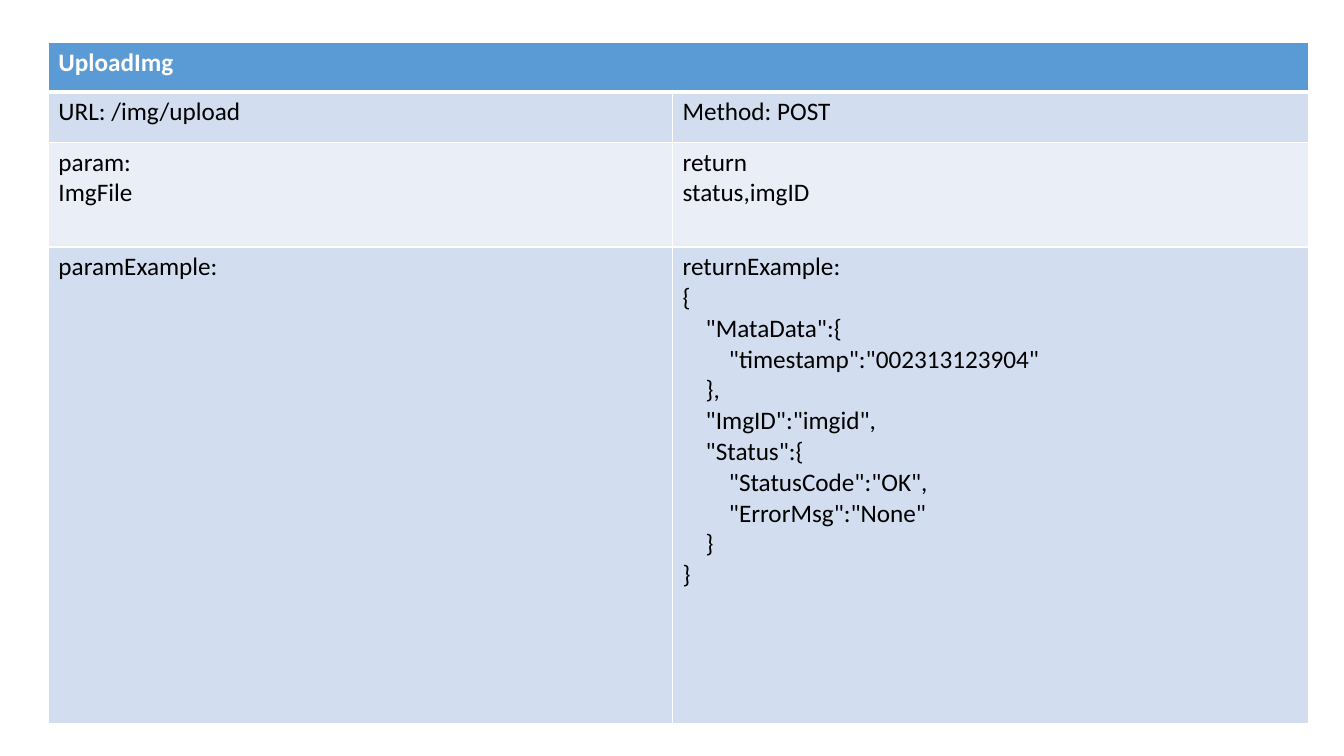
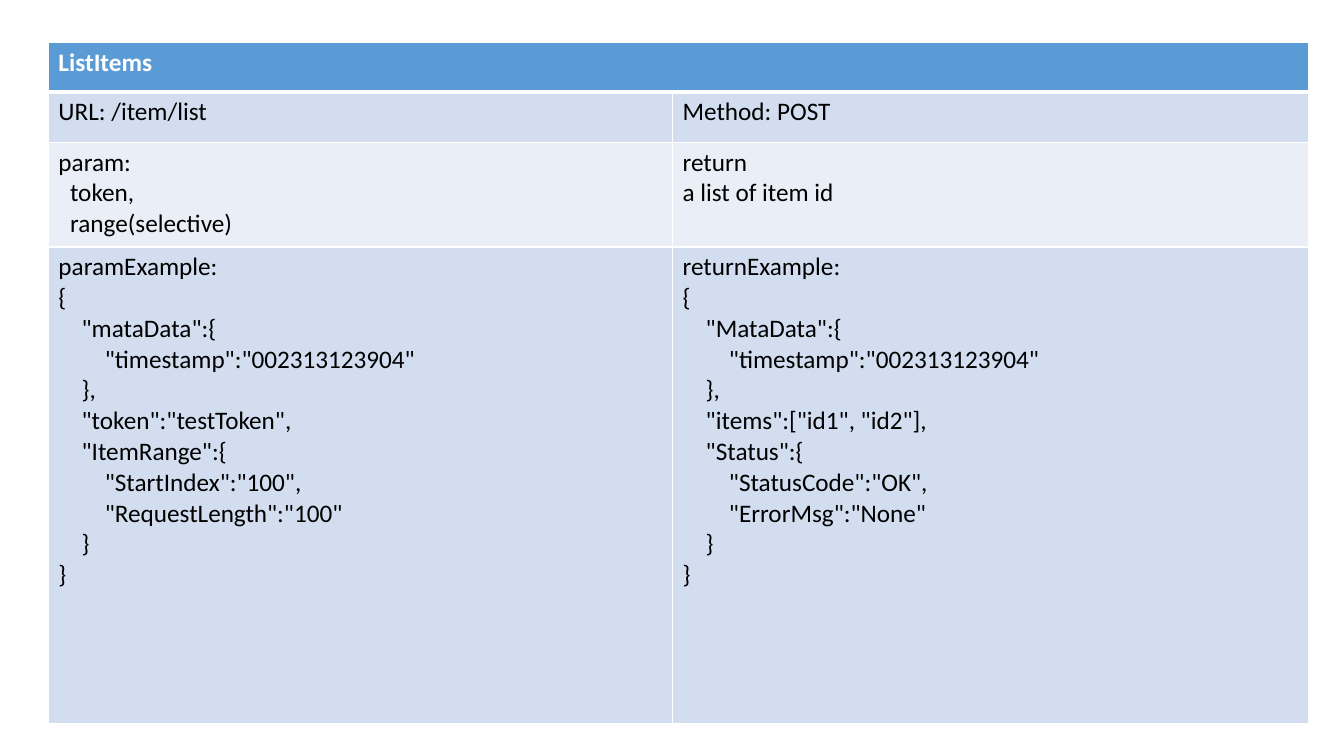
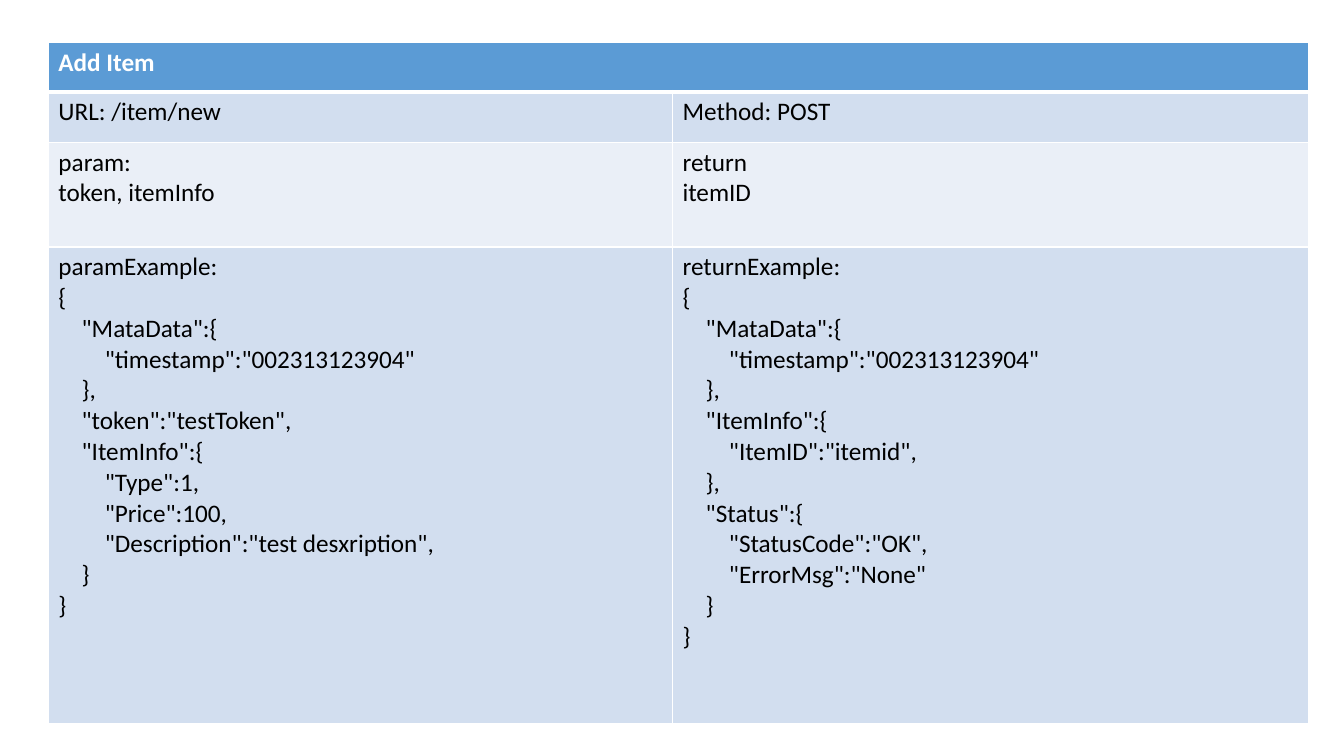
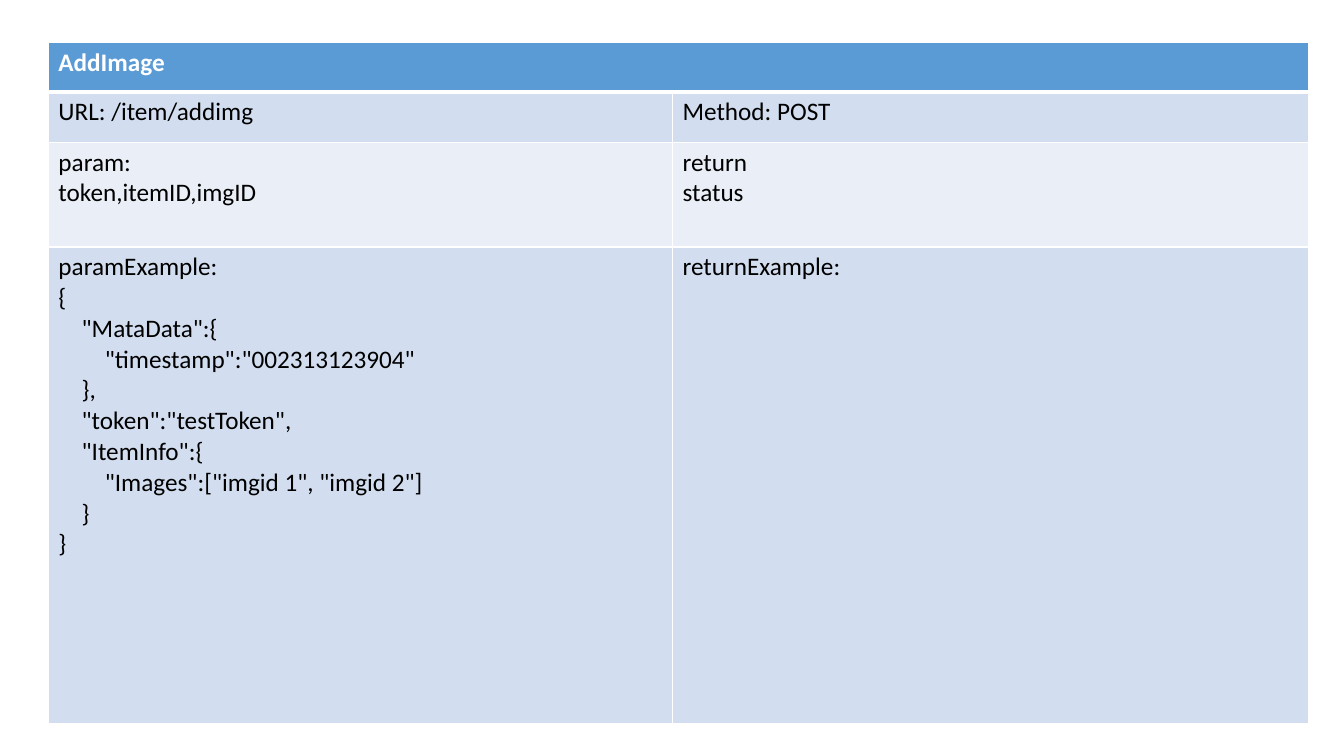
from dataclasses import dataclass

from lxml.etree import SubElement
from pptx import Presentation
from pptx.dml.color import RGBColor
from pptx.oxml.ns import qn
from pptx.presentation import Presentation as PresentationType
from pptx.table import _Cell as Cell
from pptx.util import Inches, Pt

COLORS = {
    "header": "5B9BD5",
    "band_dark": "D2DEEF",
    "band_light": "EAEFF7",
    "border": "FFFFFF",
    "header_text": "FFFFFF",
    "body_text": "000000",
}
FONT_NAME = "Calibri"
FONT_SIZE = 18
BLANK_LAYOUT = 6

TABLE_LEFT, TABLE_TOP = 0.48, 0.42
COLUMN_WIDTHS = (6.19, 6.31)
ROW_HEIGHTS = (0.49, 0.5, 1.04, 4.73)
ROW_FILLS = ("header", "band_dark", "band_light", "band_dark")
INDENT_STEP = 0.23
THIN_BORDER, HEADER_BORDER = 1, 3

TIMESTAMP = ('"timestamp":"002313123904"', "},")
METADATA = ('"MataData":{', *TIMESTAMP)
TOKEN = '"token":"testToken",'
STATUS = ('"Status":{', '"StatusCode":"OK",', '"ErrorMsg":"None"', "}")


@dataclass(frozen=True)
class Line:
    """One paragraph of a cell and its nesting depth."""

    text: str
    depth: float = 0


@dataclass(frozen=True)
class Endpoint:
    """The description of one web service call."""

    name: str
    url: str
    parameters: tuple[str, ...]
    returns: str
    request: tuple[str, ...] = ()
    response: tuple[str, ...] = ()
    parameter_depth: float = 0


ENDPOINTS = (
    Endpoint(
        name="UploadImg",
        url="/img/upload",
        parameters=("ImgFile",),
        returns="status,imgID",
        response=("{", *METADATA, '"ImgID":"imgid",', *STATUS, "}"),
    ),
    Endpoint(
        name="ListItems",
        url="/item/list",
        parameters=("token,", "range(selective)"),
        returns="a list of item id",
        request=(
            "{", '"mataData":{', *TIMESTAMP, TOKEN,
            '"ItemRange":{', '"StartIndex":"100",', '"RequestLength":"100"', "}",
            "}",
        ),
        response=("{", *METADATA, '"items":["id1", "id2"],', *STATUS, "}"),
        parameter_depth=0.5,
    ),
    Endpoint(
        name="Add Item",
        url="/item/new",
        parameters=("token, itemInfo",),
        returns="itemID",
        request=(
            "{", *METADATA, TOKEN,
            '"ItemInfo":{', '"Type":1,', '"Price":100,',
            '"Description":"test desxription",', "}",
            "}",
        ),
        response=(
            "{", *METADATA, '"ItemInfo":{', '"ItemID":"itemid",', "},", *STATUS, "}",
        ),
    ),
    Endpoint(
        name="AddImage",
        url="/item/addimg",
        parameters=("token,itemID,imgID",),
        returns="status",
        request=(
            "{", *METADATA, TOKEN,
            '"ItemInfo":{', '"Images":["imgid 1", "imgid 2"]', "}",
            "}",
        ),
    ),
)


def nest(code: tuple[str, ...]) -> list[Line]:
    """Give each line of JSON the depth that its braces imply."""
    lines: list[Line] = []
    depth = 0
    for text in code:
        depth -= text.startswith("}")
        lines.append(Line(text, depth))
        depth += text.endswith("{")
    return lines


def table_rows(endpoint: Endpoint) -> list[list[list[Line]]]:
    """Arrange an endpoint as rows of cells, each a list of lines."""
    parameters = [Line(text, endpoint.parameter_depth) for text in endpoint.parameters]
    return [
        [[Line(endpoint.name)], []],
        [[Line(f"URL: {endpoint.url}")], [Line("Method: POST")]],
        [[Line("param:"), *parameters], [Line("return"), Line(endpoint.returns)]],
        [
            [Line("paramExample:"), *nest(endpoint.request)],
            [Line("returnExample:"), *nest(endpoint.response)],
        ],
    ]


def set_borders(cell: Cell, top: int, bottom: int) -> None:
    """Draw the four borders of a cell, with widths in points."""
    properties = cell._tc.get_or_add_tcPr()
    widths = {"L": THIN_BORDER, "R": THIN_BORDER, "T": top, "B": bottom}
    for side, width in widths.items():
        border = SubElement(properties, qn(f"a:ln{side}"), w=str(Pt(width)))
        fill = SubElement(border, qn("a:solidFill"))
        SubElement(fill, qn("a:srgbClr"), val=COLORS["border"])


def write_lines(cell: Cell, lines: list[Line], is_header: bool) -> None:
    """Write one indented paragraph per line and format its run."""
    cell.text_frame.text = "\n".join(line.text for line in lines)
    color = COLORS["header_text" if is_header else "body_text"]
    for paragraph, line in zip(cell.text_frame.paragraphs, lines):
        if line.depth:
            indent = Inches(INDENT_STEP * line.depth)
            paragraph._p.get_or_add_pPr().set("marL", str(indent))
        for run in paragraph.runs:
            run.font.name = FONT_NAME
            run.font.size = Pt(FONT_SIZE)
            run.font.bold = is_header
            run.font.color.rgb = RGBColor.from_string(color)


def add_endpoint_slide(presentation: PresentationType, endpoint: Endpoint) -> None:
    """Add a slide with the table that documents an endpoint."""
    slide = presentation.slides.add_slide(presentation.slide_layouts[BLANK_LAYOUT])
    table = slide.shapes.add_table(
        len(ROW_HEIGHTS), len(COLUMN_WIDTHS),
        Inches(TABLE_LEFT), Inches(TABLE_TOP),
        Inches(sum(COLUMN_WIDTHS)), Inches(sum(ROW_HEIGHTS)),
    ).table
    for column, width in zip(table.columns, COLUMN_WIDTHS):
        column.width = Inches(width)
    for row, height in zip(table.rows, ROW_HEIGHTS):
        row.height = Inches(height)
    table.cell(0, 0).merge(table.cell(0, len(COLUMN_WIDTHS) - 1))

    for row_index, cells in enumerate(table_rows(endpoint)):
        is_header = row_index == 0
        top = HEADER_BORDER if row_index == 1 else THIN_BORDER
        bottom = HEADER_BORDER if is_header else THIN_BORDER
        for column_index, lines in enumerate(cells):
            cell = table.cell(row_index, column_index)
            set_borders(cell, top, bottom)
            cell.fill.solid()
            cell.fill.fore_color.rgb = RGBColor.from_string(COLORS[ROW_FILLS[row_index]])
            if lines:
                write_lines(cell, lines, is_header)


def main() -> None:
    """Build and save the presentation."""
    presentation = Presentation()
    presentation.slide_width = Inches(13.33)
    presentation.slide_height = Inches(7.5)
    for endpoint in ENDPOINTS:
        add_endpoint_slide(presentation, endpoint)
    presentation.save("out.pptx")


main()
